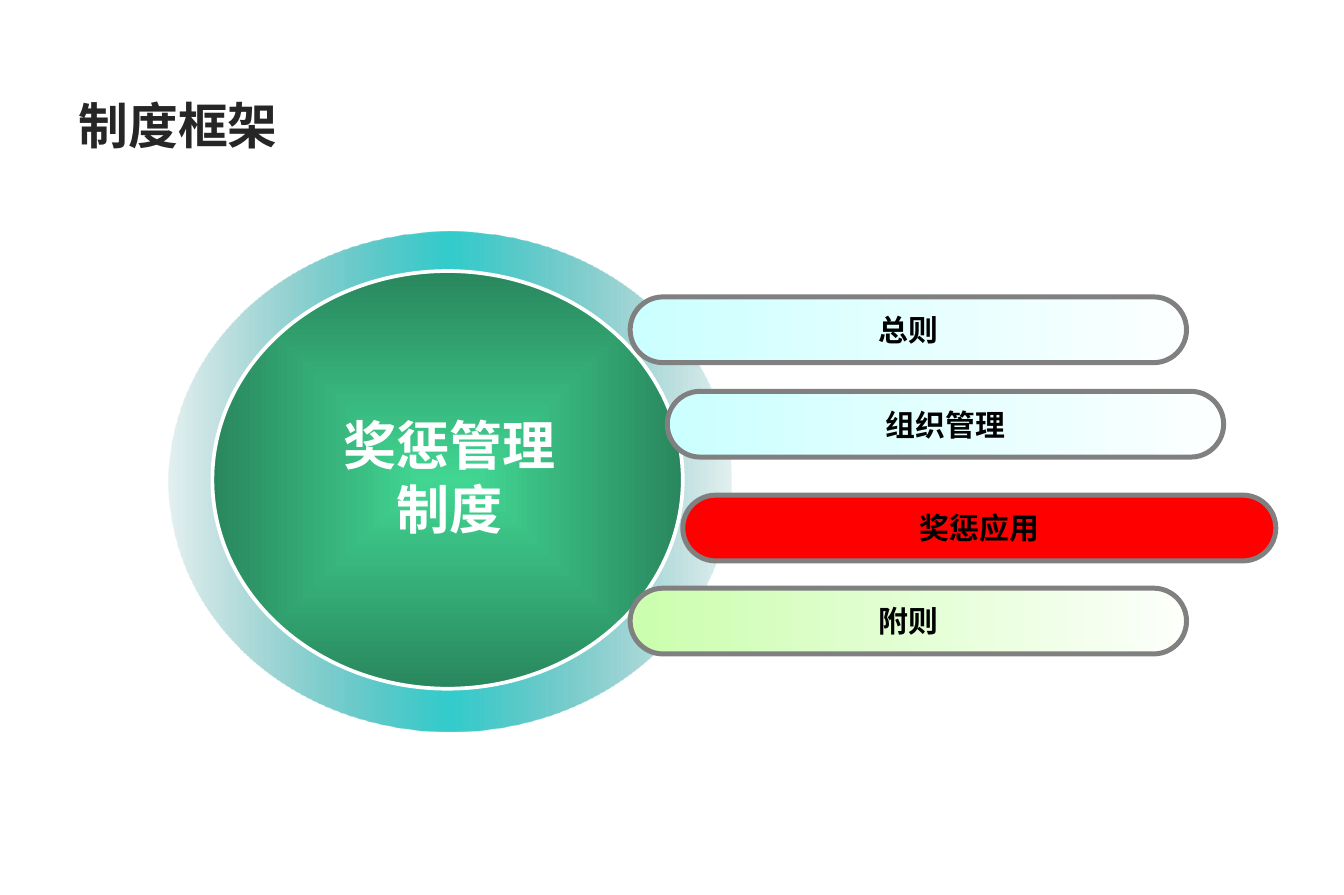
from dataclasses import dataclass
from typing import Optional

import pptx
import pptx.dml.color
import pptx.enum.shapes
import pptx.enum.text
import pptx.oxml
import pptx.oxml.ns
import pptx.util
from pptx.dml.color import RGBColor
from pptx.enum.shapes import MSO_SHAPE
from pptx.enum.text import MSO_ANCHOR, MSO_AUTO_SIZE, PP_ALIGN
from pptx.util import Cm

WHITE = RGBColor(0xFF, 0xFF, 0xFF)
BLACK = RGBColor(0x00, 0x00, 0x00)
INK = RGBColor(0x26, 0x26, 0x26)
GREY = RGBColor(0x80, 0x80, 0x80)
RED = RGBColor(0xFF, 0x00, 0x00)
TEAL = RGBColor(0x22, 0x88, 0x88)
TURQUOISE = RGBColor(0x33, 0xCC, 0xCC)
MINT = RGBColor(0x41, 0xD5, 0x92)
GREEN = RGBColor(0x29, 0x87, 0x5D)
CYAN = RGBColor(0xCC, 0xFF, 0xFF)
PALE_CYAN = RGBColor(0xFC, 0xFF, 0xFF)
LIME = RGBColor(0xCB, 0xFE, 0xAE)
PALE_LIME = RGBColor(0xFC, 0xFF, 0xFA)

LINEAR = '<a:lin ang="0" scaled="0"/>'
RECT = '<a:path path="rect"><a:fillToRect l="50000" t="50000" r="50000" b="50000"/></a:path>'
TEXT_SHADOW = (
    f'<a:effectLst {pptx.oxml.ns.nsdecls("a")}>'
    '<a:outerShdw blurRad="0" dist="25400" dir="2700000" algn="tl">'
    f'<a:srgbClr val="{BLACK}"/></a:outerShdw></a:effectLst>'
)


@dataclass
class Stop:
    position: int
    color: RGBColor
    opacity: int = 100


@dataclass
class Bar:
    text: str
    left: float
    top: float
    start: RGBColor
    end: Optional[RGBColor] = None
    width: float = 11.84


BARS = [
    Bar("总则", 13.41, 6.32, CYAN, PALE_CYAN),
    Bar("组织管理", 14.2, 8.33, CYAN, PALE_CYAN),
    Bar("奖惩应用", 14.53, 10.54, RED, width=12.62),
    Bar("附则", 13.41, 12.52, LIME, PALE_LIME),
]
BAR_HEIGHT = 1.4


def fill_gradient(sp, stops: list[Stop], shade: str = LINEAR) -> None:
    sp.fill.gradient()
    grad = sp._element.spPr.find(pptx.oxml.ns.qn("a:gradFill"))
    marks = "".join(
        f'<a:gs pos="{s.position * 1000}"><a:srgbClr val="{s.color}">'
        f'<a:alpha val="{s.opacity * 1000}"/></a:srgbClr></a:gs>'
        for s in stops
    )
    grad.getparent().replace(grad, pptx.oxml.parse_xml(
        f'<a:gradFill {pptx.oxml.ns.nsdecls("a")} rotWithShape="1">'
        f'<a:gsLst>{marks}</a:gsLst>{shade}</a:gradFill>'
    ))


def add_shape(slide, kind: MSO_SHAPE, left: float, top: float, width: float, height: float):
    sp = slide.shapes.add_shape(kind, Cm(left), Cm(top), Cm(width), Cm(height))
    sp.shadow.inherit = False
    return sp


def outline(sp, color: RGBColor, width: float) -> None:
    sp.line.color.rgb = color
    sp.line.width = pptx.util.Pt(width)


def format_paragraph(p, size: int, color: RGBColor, align: PP_ALIGN) -> None:
    p.alignment = align
    p.font.name = "Arial"
    p.font.size = pptx.util.Pt(size)
    p.font.bold = True
    p.font.color.rgb = color


def add_title(slide, text: str) -> None:
    title = slide.shapes.title
    title.left, title.top, title.width, title.height = Cm(1.42), Cm(1.68), Cm(25.73), Cm(1.96)
    title.text_frame.text = text
    title.text_frame.vertical_anchor = MSO_ANCHOR.MIDDLE
    format_paragraph(title.text_frame.paragraphs[0], 30, INK, PP_ALIGN.LEFT)


def add_hub(slide) -> None:
    ring = add_shape(slide, MSO_SHAPE.DONUT, 3.58, 4.93, 11.99, 10.64)
    ring.adjustments[0] = 0.1
    ring.line.fill.background()
    fill_gradient(ring, [Stop(0, TEAL, 12), Stop(50, TURQUOISE), Stop(100, TEAL, 12)])
    disc = add_shape(slide, MSO_SHAPE.OVAL, 4.52, 5.77, 10.01, 8.89)
    fill_gradient(disc, [Stop(0, MINT), Stop(100, GREEN)], RECT)
    outline(disc, WHITE, 2.25)


def add_hub_label(slide, text: str) -> None:
    box = slide.shapes.add_textbox(Cm(6.3), Cm(8.66), Cm(6.55), Cm(2.97))
    tf = box.text_frame
    tf.word_wrap = False
    tf.auto_size = MSO_AUTO_SIZE.SHAPE_TO_FIT_TEXT
    tf.text = text
    for p in tf.paragraphs:
        format_paragraph(p, 32, WHITE, PP_ALIGN.CENTER)
        for r in p.runs:
            r._r.get_or_add_rPr().append(pptx.oxml.parse_xml(TEXT_SHADOW))


def add_bar(slide, bar: Bar) -> None:
    sp = add_shape(slide, MSO_SHAPE.ROUNDED_RECTANGLE, bar.left, bar.top, bar.width, BAR_HEIGHT)
    sp.adjustments[0] = 0.5
    if bar.end is None:
        sp.fill.solid()
        sp.fill.fore_color.rgb = bar.start
    else:
        fill_gradient(sp, [Stop(0, bar.start), Stop(100, bar.end)])
    outline(sp, GREY, 3)
    tf = sp.text_frame
    tf.word_wrap = False
    tf.vertical_anchor = MSO_ANCHOR.MIDDLE
    tf.text = bar.text
    format_paragraph(tf.paragraphs[0], 18, BLACK, PP_ALIGN.CENTER)


def main() -> None:
    prs = pptx.Presentation()
    prs.slide_width, prs.slide_height = Cm(28.6), Cm(19.05)
    slide = prs.slides.add_slide(prs.slide_layouts[5])
    add_title(slide, "制度框架")
    add_hub(slide)
    add_hub_label(slide, "奖惩管理\n制度")
    for bar in BARS:
        add_bar(slide, bar)
    prs.save("out.pptx")


if __name__ == "__main__":
    main()
